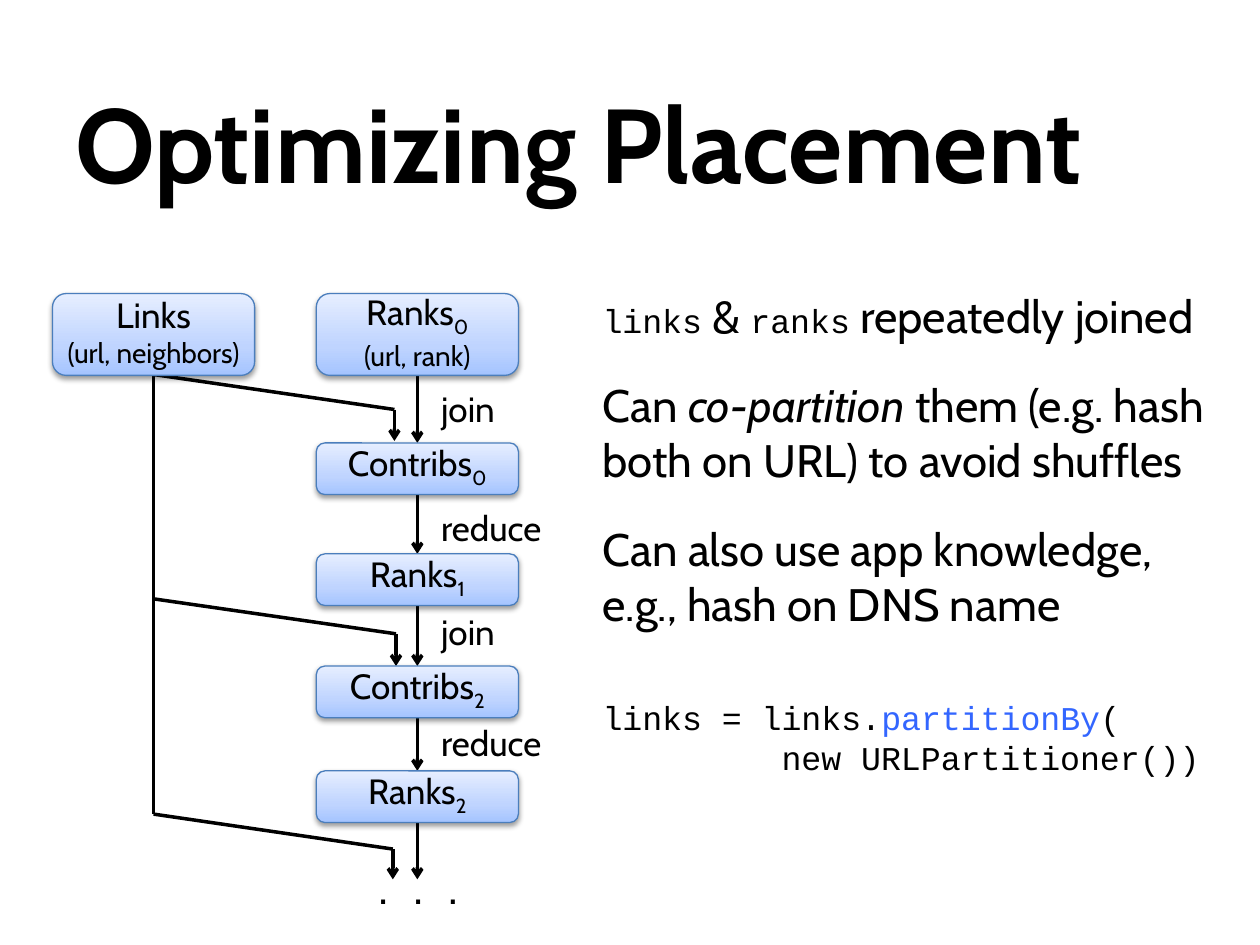
from copy import deepcopy
from itertools import pairwise

from lxml import etree
from pptx import Presentation
from pptx.dml.color import RGBColor
from pptx.enum import shapes, text
from pptx.oxml import ns
from pptx.util import Pt

BLACK = RGBColor(0, 0, 0)
CODE_BLUE = RGBColor(0x33, 0x66, 0xFF)
BORDER = RGBColor(0x4B, 0x7E, 0xBC)
GRADIENT = [
    (0, RGBColor(0xA4, 0xC4, 0xFF)),
    (0.35, RGBColor(0xBF, 0xD4, 0xFF)),
    (1, RGBColor(0xE6, 0xEE, 0xFF)),
]
SANS, MONO = "Cabin", "Courier New"
CHAIN_X, LINKS_X, NODE_W = 180.75, 30, 115.5
CHAIN_MID, LINKS_MID = CHAIN_X + NODE_W / 2, LINKS_X + NODE_W / 2
TOP, TALL, LOW = 167.75, 46.75, 29.5
CHAIN_END = 502.5


def add_text(p, content, size=20, font=SANS, color=BLACK, bold=False, italic=False, sub=False):
    r = p.add_run()
    r.text = content
    r.font.size, r.font.name = Pt(size), font
    r.font.bold, r.font.italic = bold, italic
    r.font.color.rgb = color
    if sub:
        r.font._element.set("baseline", "-25000")


def add_box(s, x, y, w, h, wrap=True):
    tf = s.shapes.add_textbox(Pt(x), Pt(y), Pt(w), Pt(h)).text_frame
    tf.word_wrap = wrap
    if not wrap:
        tf.auto_size = text.MSO_AUTO_SIZE.SHAPE_TO_FIT_TEXT
    return tf


def add_shadow(sp):
    sp.shadow.inherit = False
    effects = sp._element.spPr.find(ns.qn("a:effectLst"))
    shadow = etree.SubElement(effects, ns.qn("a:outerShdw"), blurRad=str(Pt(3.1)),
                              dist=str(Pt(1.6)), dir="5400000", rotWithShape="0")
    color = etree.SubElement(shadow, ns.qn("a:srgbClr"), val=str(BLACK))
    etree.SubElement(color, ns.qn("a:alpha"), val="38000")


def add_gradient(sp):
    sp.fill.gradient()
    sp.fill.gradient_angle = 90
    stops = sp._element.spPr.find(".//" + ns.qn("a:gsLst"))
    stops.append(deepcopy(stops[-1]))
    for stop, (position, color) in zip(sp.fill.gradient_stops, GRADIENT):
        stop.position = position
        stop.color.rgb = color


def add_node(s, x, y, h, name, index="", detail=""):
    sp = s.shapes.add_shape(shapes.MSO_SHAPE.ROUNDED_RECTANGLE, Pt(x), Pt(y), Pt(NODE_W), Pt(h))
    add_gradient(sp)
    sp.line.color.rgb = BORDER
    sp.line.width = Pt(0.75)
    add_shadow(sp)
    tf = sp.text_frame
    tf.word_wrap = True
    tf.vertical_anchor = text.MSO_ANCHOR.MIDDLE
    tf.margin_left = tf.margin_top = tf.margin_right = 0
    tf.margin_bottom = Pt(3.6)
    p = tf.paragraphs[0]
    p.alignment = text.PP_ALIGN.CENTER
    add_text(p, name)
    if index:
        add_text(p, index, sub=True)
    if detail:
        p = tf.add_paragraph()
        p.alignment = text.PP_ALIGN.CENTER
        add_text(p, detail, size=16)


def add_line(s, x1, y1, x2, y2, arrow=False):
    ln = s.shapes.add_connector(shapes.MSO_CONNECTOR.STRAIGHT, Pt(x1), Pt(y1), Pt(x2), Pt(y2))
    ln.line.color.rgb = BLACK
    ln.line.width = Pt(2)
    if arrow:
        etree.SubElement(ln.line._get_or_add_ln(), ns.qn("a:tailEnd"), type="arrow")
    etree.SubElement(ln._element.spPr, ns.qn("a:effectLst"))


def add_branch(s, y, x, end):
    bend = y + 20
    add_line(s, LINKS_MID, y, x, bend)
    add_line(s, x, bend, x, end, arrow=True)


def add_diagram(s):
    chain = [
        (TOP, TALL, "Ranks", "0", "(url, rank)"),
        (253.1, LOW, "Contribs", "0", ""),
        (316.5, LOW, "Ranks", "1", ""),
        (380.6, LOW, "Contribs", "2", ""),
        (440.5, LOW, "Ranks", "2", ""),
    ]
    tops = [node[0] for node in chain] + [CHAIN_END]
    for (y, h, *_), (top, end) in zip(chain, pairwise(tops)):
        add_line(s, CHAIN_MID, y + h, CHAIN_MID, end, arrow=True)
    add_line(s, LINKS_MID, TOP + TALL, LINKS_MID, 465)
    for y, x, end in [(214, 225.4, 252), (342.2, 226.3, tops[3]), (465.2, 224.5, CHAIN_END)]:
        add_branch(s, y, x, end)
    add_node(s, LINKS_X, TOP, TALL, "Links", detail="(url, neighbors)")
    for y, h, name, index, detail in chain:
        add_node(s, CHAIN_X, y, h, name, index, detail)
    for y, w, label in [(217.75, 47, "join"), (286, 71.5, "reduce"),
                        (345.25, 47, "join"), (409, 71.5, "reduce")]:
        add_text(add_box(s, 245, y, w, 31.5, wrap=False).paragraphs[0], label)
    p = add_box(s, 201.5, 489.5, 75, 36).paragraphs[0]
    p.alignment = text.PP_ALIGN.CENTER
    add_text(p, ".  .  .", size=24, font="Arial")


def add_notes_column(s):
    body, code = {"size": 26}, {"size": 19, "font": MONO}
    paragraphs = [
        (0, [("links", code), (" & ", body), ("ranks", code), (" repeatedly joined", body)]),
        (20, [("Can ", body), ("co-partition", {**body, "italic": True}),
              (" them (e.g. hash both on URL) to avoid shuffles", body)]),
        (20, [("Can also use app knowledge, e.g., hash on DNS name", body)]),
        (38, [("links = links.", code), ("partitionBy", {**code, "color": CODE_BLUE}),
              ("(", code), None, ("         new URLPartitioner())", code)]),
    ]
    tf = add_box(s, 337.25, 160.9, 365, 332.5)
    for i, (space, runs) in enumerate(paragraphs):
        p = tf.add_paragraph() if i else tf.paragraphs[0]
        p.space_before = Pt(space)
        for run in runs:
            if run is None:
                p.add_line_break()
            else:
                add_text(p, run[0], **run[1])


def main():
    prs = Presentation()
    prs.slide_width, prs.slide_height = Pt(720), Pt(540)
    s = prs.slides.add_slide(prs.slide_layouts[6])
    tf = add_box(s, 36, 36, 648, 90)
    tf.vertical_anchor = text.MSO_ANCHOR.MIDDLE
    add_text(tf.paragraphs[0], "Optimizing Placement", size=60, bold=True)
    add_notes_column(s)
    add_diagram(s)
    prs.save("out.pptx")


if __name__ == "__main__":
    main()
